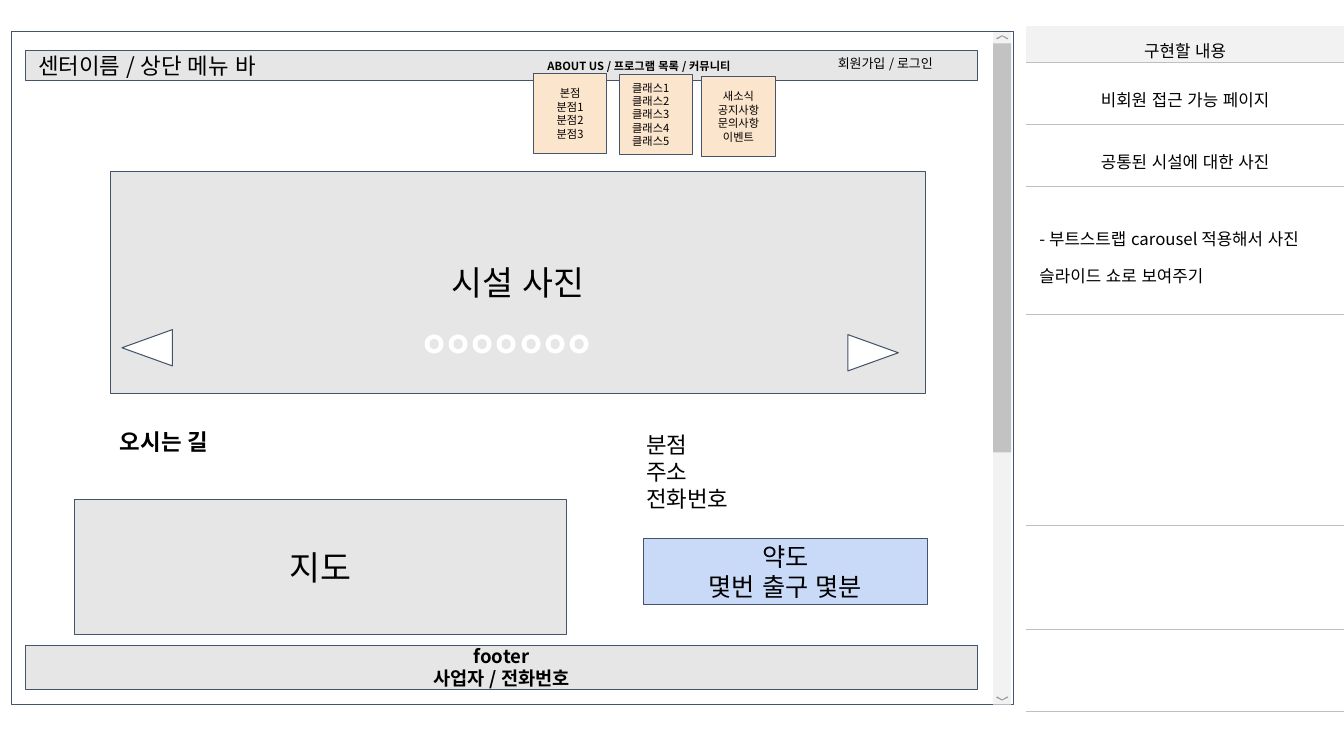
"""Build a wireframe slide of a centre's home page with its feature notes."""
from lxml import etree
from pptx import Presentation
from pptx.dml.color import RGBColor
from pptx.enum import lang, shapes, text
from pptx.oxml.ns import qn
from pptx.util import Inches, Pt

BLACK = RGBColor(0x00, 0x00, 0x00)
WHITE = RGBColor(0xFF, 0xFF, 0xFF)
NAVY = RGBColor(0x44, 0x54, 0x6A)
GRAY = RGBColor(0xE7, 0xE6, 0xE6)
PALE = RGBColor(0xF2, 0xF2, 0xF2)
THUMB = RGBColor(0xC2, 0xC2, 0xC2)
CHEVRON = RGBColor(0x99, 0x99, 0x99)
RULE = RGBColor(0xBF, 0xBF, 0xBF)
PEACH = RGBColor(0xFC, 0xE5, 0xCD)
BLUE = RGBColor(0xC9, 0xDA, 0xF8)
KOREAN = "Noto Sans CJK KR"
LEFT, CENTER = text.PP_ALIGN.LEFT, text.PP_ALIGN.CENTER
RECTANGLE = shapes.MSO_SHAPE.RECTANGLE
TRIANGLE = shapes.MSO_SHAPE.FLOWCHART_EXTRACT


def write(frame, content, size=12, color=BLACK, bold=False, align=LEFT, font=KOREAN,
          spacing=None):
    for index, line in enumerate(content.split("\n")):
        paragraph = frame.paragraphs[0] if index == 0 else frame.add_paragraph()
        paragraph.alignment = align
        paragraph.line_spacing = spacing
        run = paragraph.add_run()
        run.text = line
        run.font.size = Pt(size)
        run.font.bold = bold
        run.font.color.rgb = color
        run.font.name = font
        run.font.language_id = lang.MSO_LANGUAGE_ID.KOREAN
        east_asian = etree.SubElement(run.font._element, qn("a:ea"))
        east_asian.set("typeface", KOREAN)


def add_box(parent, place, fill=None, line=None, content="", kind=RECTANGLE, **style):
    place = [Inches(length) for length in place]
    if fill is None:
        shape = parent.add_textbox(*place)
    else:
        shape = parent.add_shape(kind, *place)
        shape.shadow.inherit = False
        shape.fill.solid()
        shape.fill.fore_color.rgb = fill
        if line is None:
            shape.line.fill.background()
        else:
            shape.line.color.rgb = line
            shape.line.width = Pt(0.75)
    if content:
        frame = shape.text_frame
        frame.word_wrap = True
        frame.margin_left = frame.margin_right = Inches(0.13)
        frame.margin_top = frame.margin_bottom = Inches(0.13)
        frame.vertical_anchor = text.MSO_ANCHOR.TOP if fill is None else text.MSO_ANCHOR.MIDDLE
        write(frame, content, **style)
    return shape


presentation = Presentation()
presentation.slide_width = Inches(13.33)
presentation.slide_height = Inches(7.5)
slide = presentation.slides.add_slide(presentation.slide_layouts[6])
canvas = slide.shapes

notes = [
    (0.28, "구현할 내용", CENTER),
    (0.61, "비회원 접근 가능 페이지", CENTER),
    (0.62, "공통된 시설에 대한 사진", CENTER),
    (1.27, "- 부트스트랩 carousel 적용해서 사진 슬라이드 쇼로 보여주기", LEFT),
    (2.09, "", LEFT),
    (1.03, "", LEFT),
    (0.82, "", LEFT),
]
table_frame = canvas.add_table(len(notes), 2, Inches(10.18), Inches(0.26), Inches(3.15), Inches(6.72))
table = table_frame.table
table.first_row = table.horz_banding = False
table._tbl.tblPr.find(qn("a:tableStyleId")).text = "{2D5ABB26-0587-4C30-8999-92F81FD0307C}"
table.columns[0].width = Inches(0.56)
table.columns[1].width = Inches(2.59)
for row, (height, content, align) in enumerate(notes):
    table.rows[row].height = Inches(height)
    header = row == 0
    for column in range(2):
        cell = table.cell(row, column)
        cell.margin_left = cell.margin_right = Inches(0.13)
        cell.margin_top = cell.margin_bottom = Inches(0 if header else 0.06)
        cell.vertical_anchor = text.MSO_ANCHOR.MIDDLE
        if header:
            cell.fill.solid()
            cell.fill.fore_color.rgb = PALE
        else:
            cell.fill.background()
        border = etree.Element(qn("a:lnB"), w=str(Pt(0.75)))
        border_fill = etree.SubElement(border, qn("a:solidFill"))
        etree.SubElement(border_fill, qn("a:srgbClr"), val=str(RULE))
        cell._tc.get_or_add_tcPr().insert(0, border)
    table.cell(row, 0).merge(table.cell(row, 1))
    if content:
        write(table.cell(row, 0).text_frame, content, align=align, spacing=1.5,
              font="Arial" if header else KOREAN)

add_box(canvas, (0.11, 0.31, 9.94, 6.68), WHITE, NAVY)

scrollbar = canvas.add_group_shape().shapes
add_box(scrollbar, (9.85, 0.32, 0.18, 6.67), PALE)
add_box(scrollbar, (9.85, 0.43, 0.18, 4.06), THUMB)
for base, direction in ((0.39, -1), (6.91, 1)):
    outer, inner, tip = (base + offset * direction for offset in (0.01, 0.03, 0.04))
    outline = [(9.88, outer), (9.94, tip), (10, outer), (9.99, base), (9.94, inner), (9.89, base)]
    points = [(Inches(x), Inches(y)) for x, y in outline]
    builder = scrollbar.build_freeform(*points[0])
    builder.add_line_segments(points[1:])
    chevron = builder.convert_to_shape()
    chevron.shadow.inherit = False
    chevron.fill.solid()
    chevron.fill.fore_color.rgb = CHEVRON
    chevron.line.fill.background()

add_box(canvas, (0.25, 0.5, 9.45, 0.3), GRAY, NAVY, "센터이름 / 상단 메뉴 바", size=16)
add_box(canvas, (0.25, 6.4, 9.45, 0.44), GRAY, NAVY, "footer\n사업자 / 전화번호",
        size=13.3, bold=True, align=CENTER)
add_box(canvas, (8.18, 0.47, 2.06, 0.21), content="회원가입 / 로그인", size=9.3)
add_box(canvas, (5.3, 0.52, 3.29, 0.39), content="ABOUT US / 프로그램 목록 / 커뮤니티",
        size=8, bold=True)

menus = [
    (6.96, 0.76, "새소식\n공지사항\n문의사항\n이벤트", CENTER),
    (5.29, 0.73, "본점\n분점1\n분점2\n분점3", CENTER),
    (6.14, 0.74, "클래스1\n클래스2\n클래스3\n클래스4\n클래스5", LEFT),
]
for left, top, content, align in menus:
    add_box(canvas, (left, top, 0.73, 0.79), PEACH, NAVY, content, size=8, align=align)

add_box(canvas, (1.1, 1.7, 8.08, 2.2), GRAY, NAVY, "시설 사진", size=24, align=CENTER)
for left, top, rotation in ((1.28, 3.2, 270), (8.48, 3.25, 90)):
    arrow = add_box(canvas, (left, top, 0.36, 0.5), WHITE, NAVY, kind=TRIANGLE)
    arrow.rotation = rotation
add_box(canvas, (4.06, 3.06, 2.18, 0.99), content="°°°°°°°", size=42.7, color=WHITE, bold=True)

add_box(canvas, (0.74, 4.96, 4.88, 1.34), GRAY, NAVY, "지도", size=24, align=CENTER)
add_box(canvas, (1.06, 4.12, 1.31, 0.54), content="오시는 길", size=16, bold=True)
add_box(canvas, (6.28, 4.15, 3.59, 1.26), content="분점\n주소\n전화번호", size=16)
add_box(canvas, (6.38, 5.34, 2.82, 0.66), BLUE, NAVY, "약도\n몇번 출구 몇분", size=18, align=CENTER)

presentation.save("out.pptx")
